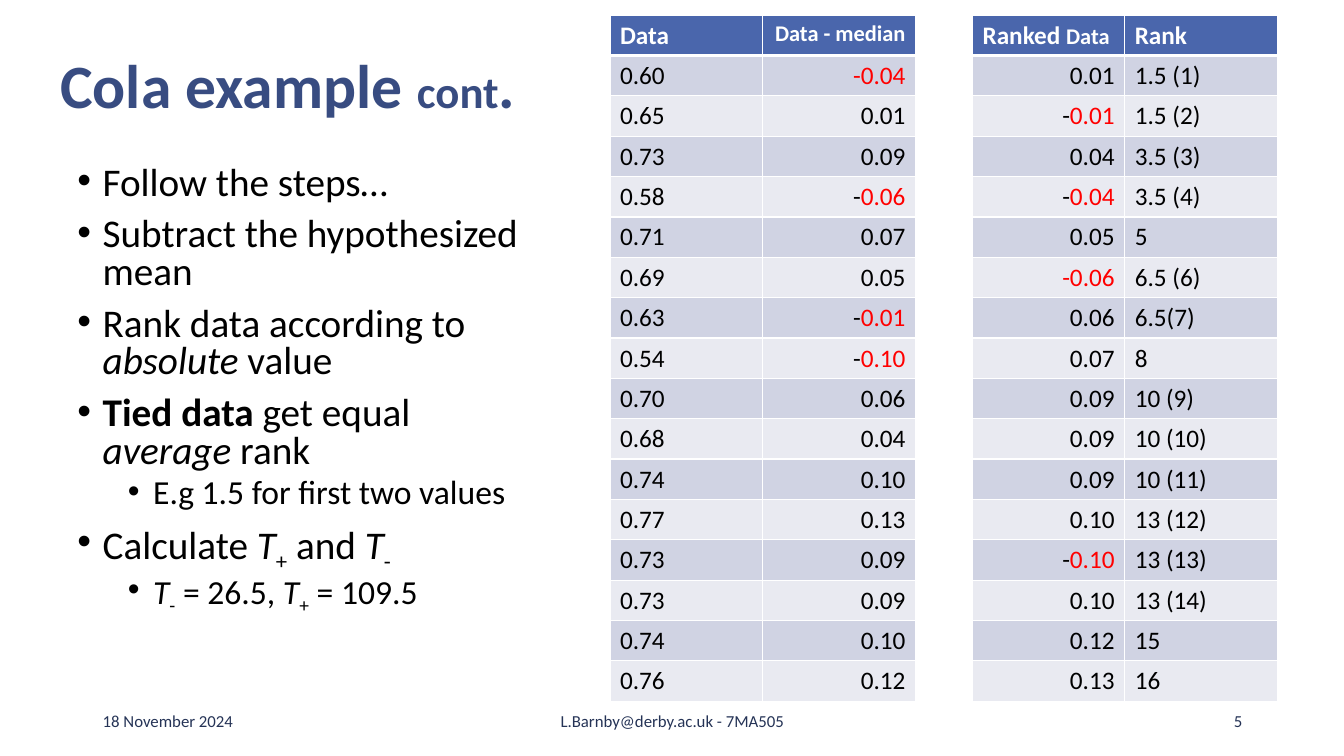
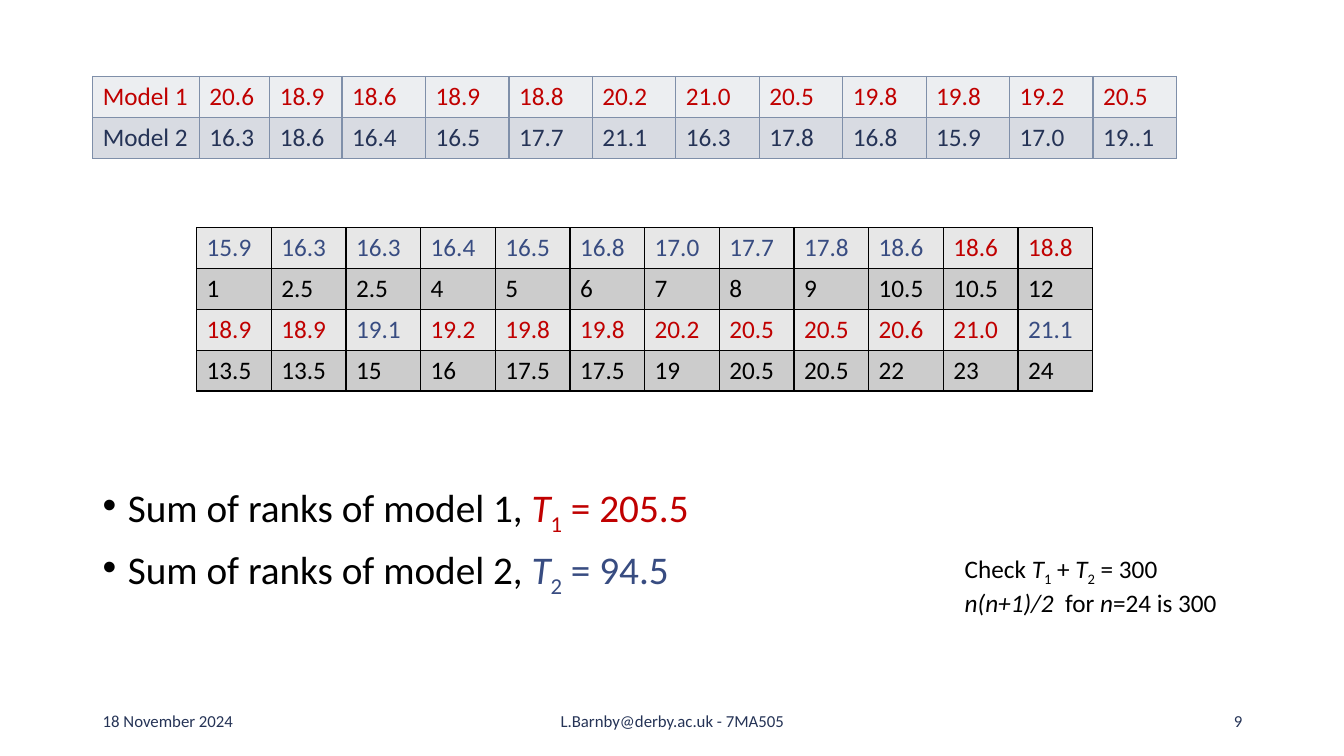
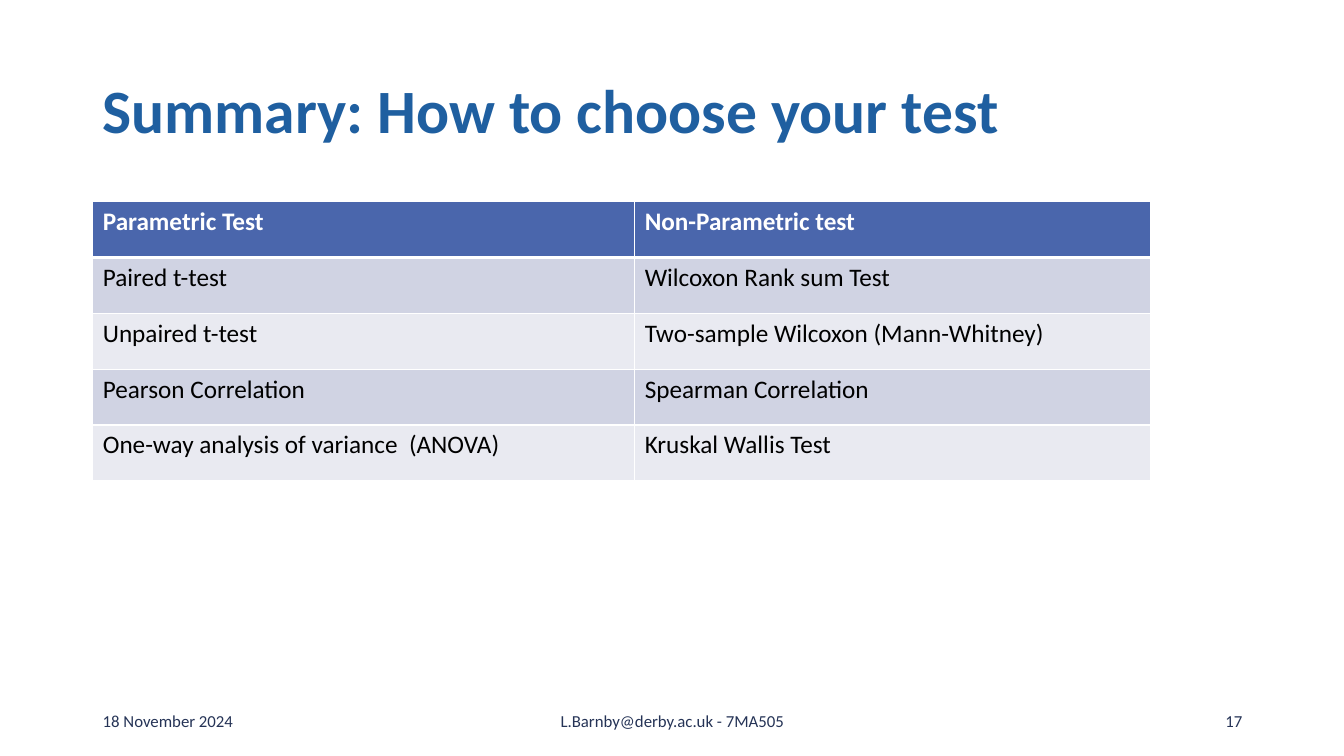
from lxml import etree
from pptx import Presentation
from pptx.dml.color import RGBColor
from pptx.enum.text import MSO_ANCHOR, PP_ALIGN
from pptx.oxml.ns import qn
from pptx.util import Emu, Pt

LEFT, CENTER, RIGHT = PP_ALIGN.LEFT, PP_ALIGN.CENTER, PP_ALIGN.RIGHT
TOP, MIDDLE = MSO_ANCHOR.TOP, MSO_ANCHOR.MIDDLE

# Palette
BLACK, WHITE = "000000", "FFFFFF"
NAVY, BLUE, TITLE_BLUE = "253356", "384C81", "1F5FA0"
RED, DARK_RED = "FF0000", "C00000"
HEADER, BANDS = "4A66AC", ("D0D3E3", "E9EAF1")

# Run styles
BOLD, ITALIC, SUB = {"bold": True}, {"italic": True}, {"sub": True}


def px(n):
    """100 px to the inch."""
    return Emu(round(n * 9144))


def rgb(color):
    return RGBColor.from_string(color)


class Deck:
    font = "Calibri"
    date = "18 November 2024"
    footer = "L.Barnby@derby.ac.uk - 7MA505"

    def __init__(self):
        self.prs = Presentation()
        self.prs.slide_width, self.prs.slide_height = px(1333), px(750)
        self.s = None

    def slide(self, number):
        self.s = self.prs.slides.add_slide(self.prs.slide_layouts[6])
        for x, w, text, align in ((92, 300, self.date, LEFT),
                                  (442, 450, self.footer, CENTER),
                                  (942, 300, str(number), RIGHT)):
            tf = self.box(x, 695, w, 40, MIDDLE)
            self.runs(tf.paragraphs[0], text, 12, NAVY, align)

    def box(self, x, y, w, h, anchor=TOP, wrap=True):
        tf = self.s.shapes.add_textbox(px(x), px(y), px(w), px(h)).text_frame
        tf.word_wrap = wrap
        tf.vertical_anchor = anchor
        return tf

    def runs(self, p, content, size, color, align=LEFT):
        """Fill a paragraph from a string or a list of (text, style) pairs."""
        p.alignment = align
        pairs = [(content, {})] if isinstance(content, str) else content
        for text, style in pairs:
            r = p.add_run()
            r.text = text
            r.font.name = self.font
            r.font.size = Pt(style.get("size", size))
            r.font.bold = style.get("bold", False)
            r.font.italic = style.get("italic", False)
            r.font.color.rgb = rgb(style.get("color", color))
            if style.get("sub"):
                r._r.get_or_add_rPr().set("baseline", "-25000")

    def title(self, x, y, content, color):
        p = self.box(x, y, 1150, 145, MIDDLE).paragraphs[0]
        p.line_spacing = 0.9
        self.runs(p, content, 44, color)

    def bullets(self, x, y, w, h, items, spacing):
        """Items are (level, content) pairs."""
        tf = self.box(x, y, w, h)
        for i, (level, content) in enumerate(items):
            p = tf.add_paragraph() if i else tf.paragraphs[0]
            p.level = level
            p.line_spacing = spacing
            p.space_before = Pt((5 if level else 10) if i else 0)
            pPr = p._p.get_or_add_pPr()
            pPr.set("marL", str(px(25 + 50 * level)))
            pPr.set("indent", str(px(-25)))
            etree.SubElement(pPr, qn("a:buFont"), typeface="Arial")
            etree.SubElement(pPr, qn("a:buChar"), char="•")
            self.runs(p, content, 24 if level else 28, BLACK)

    def note(self, x, y, w, h, lines):
        tf = self.box(x, y, w, h, wrap=False)
        for i, content in enumerate(lines):
            p = tf.add_paragraph() if i else tf.paragraphs[0]
            self.runs(p, content, 18, BLACK)

    def border(self, cell, color, top=1, bottom=1):
        tcPr = cell._tc.get_or_add_tcPr()
        for side, width in (("L", 1), ("R", 1), ("T", top), ("B", bottom)):
            ln = etree.SubElement(tcPr, qn("a:ln" + side), w=str(Pt(width)))
            fill = etree.SubElement(ln, qn("a:solidFill"))
            etree.SubElement(fill, qn("a:srgbClr"), val=color)

    def table(self, x, y, w, h, cols, rows, bands=BANDS, line=WHITE,
              colors=(BLACK,), aligns=None, header=True):
        """cols are relative widths; bands and colors repeat down the rows."""
        frame = self.s.shapes.add_table(len(rows), len(cols),
                                        px(x), px(y), px(w), px(h))
        tbl = frame.table
        tbl.first_row = tbl.horz_banding = False
        for column, weight in zip(tbl.columns, cols):
            column.width = px(w * weight / sum(cols))
        for i, row in enumerate(rows):
            tbl.rows[i].height = px(h / len(rows))
            head = header and i == 0
            n = i - header
            for j, content in enumerate(row):
                cell = tbl.cell(i, j)
                self.border(cell, line, top=3 if header and i == 1 else 1,
                            bottom=3 if head else 1)
                cell.fill.solid()
                cell.fill.fore_color.rgb = rgb(
                    HEADER if head else bands[n % len(bands)])
                if head and isinstance(content, str):
                    content = [(content, BOLD)]
                self.runs(cell.text_frame.paragraphs[0], content, 18,
                          WHITE if head else colors[n % len(colors)],
                          aligns[j] if aligns else LEFT)


def red(text):
    return [(text, {"color": RED})]


def minus(text):
    return [("-", {})] + red(text)


def tint(values, key):
    """Colour each value by its letter: b for model 2, r for model 1."""
    shades = {"b": BLUE, "r": DARK_RED}
    return [[(v, {"color": shades[k]})] for v, k in zip(values.split(), key)]


def symbol(name, index, color=BLACK):
    return [(name, {"italic": True, "color": color}),
            (index, {"sub": True, "color": color})]


def cola_example(d):
    d.slide(5)
    d.title(50, 15, [("Cola example ", BOLD),
                     ("cont", {"bold": True, "size": 32}),
                     (".", BOLD)], BLUE)
    t_plus, t_minus = symbol("T", "+"), symbol("T", "-")
    d.bullets(67, 160, 468, 476, [
        (0, "Follow the steps…"),
        (0, "Subtract the hypothesized mean"),
        (0, [("Rank data according to ", {}), ("absolute", ITALIC),
             (" value", {})]),
        (0, [("Tied data ", BOLD), ("get equal ", {}), ("average", ITALIC),
             (" rank", {})]),
        (1, "E.g 1.5 for first two values"),
        (0, [("Calculate ", {})] + t_plus + [(" and ", {})] + t_minus),
        (1, t_minus + [(" = 26.5, ", {})] + t_plus + [(" = 109.5", {})]),
    ], 0.8)

    # Data and differences
    data = ("0.60 0.65 0.73 0.58 0.71 0.69 0.63 0.54 "
            "0.70 0.68 0.74 0.77 0.73 0.73 0.74 0.76").split()
    diffs = [red("-0.04"), "0.01", "0.09", minus("0.06"), "0.07", "0.05",
             minus("0.01"), minus("0.10"), "0.06", "0.04", "0.10", "0.13",
             "0.09", "0.09", "0.10", "0.12"]
    small = {"bold": True, "size": 16}
    d.table(605, 15, 303, 680, [1, 1],
            [("Data", [("Data - median", small)]), *zip(data, diffs)],
            aligns=(LEFT, RIGHT))

    # Ranked differences
    ranked = ["0.01", minus("0.01"), "0.04", minus("0.04"), "0.05",
              red("-0.06"), "0.06", "0.07", "0.09", "0.09", "0.09", "0.10",
              minus("0.10"), "0.10", "0.12", "0.13"]
    ranks = ["1.5 (1)", "1.5 (2)", "3.5 (3)", "3.5 (4)", "5", "6.5 (6)",
             "6.5(7)", "8", "10 (9)", "10 (10)", "10 (11)", "13 (12)",
             "13 (13)", "13 (14)", "15", "16"]
    d.table(964, 15, 303, 680, [1, 1],
            [([("Ranked ", BOLD), ("Data ", small)], "Rank"),
             *zip(ranked, ranks)],
            aligns=(RIGHT, LEFT))


def rank_sums(d):
    d.slide(9)
    # Measurements of both models
    model_1 = "20.6 18.9 18.6 18.9 18.8 20.2 21.0 20.5 19.8 19.8 19.2 20.5"
    model_2 = "16.3 18.6 16.4 16.5 17.7 21.1 16.3 17.8 16.8 15.9 17.0 19..1"
    d.table(92, 76, 1075, 81, [106, 70, 72] + [83] * 10,
            [["Model 1", *model_1.split()], ["Model 2", *model_2.split()]],
            bands=("ECEEF1", "D8DBE2"), line="7F8FA9",
            colors=(DARK_RED, NAVY), header=False)

    # Pooled values above their ranks
    d.table(195, 226, 889, 162, [1] * 12, [
        tint("15.9 16.3 16.3 16.4 16.5 16.8 17.0 17.7 17.8 18.6 18.6 18.8",
             "bbbbbbbbbbrr"),
        "1 2.5 2.5 4 5 6 7 8 9 10.5 10.5 12".split(),
        tint("18.9 18.9 19.1 19.2 19.8 19.8 20.2 20.5 20.5 20.6 21.0 21.1",
             "rrbrrrrrrrrb"),
        "13.5 13.5 15 16 17.5 17.5 19 20.5 20.5 22 23 24".split(),
    ], bands=("E7E7E7", "CCCCCC"), line=BLACK, header=False)

    # Sums and check
    d.bullets(92, 475, 1150, 217, [
        (0, [(f"Sum of ranks of model {n}, ", {})] + symbol("T", n, color)
            + [(f" = {total}", {"color": color})])
        for n, total, color in (("1", "205.5", DARK_RED), ("2", "94.5", BLUE))
    ], 0.9)
    d.note(947, 544, 274, 71, [
        [("Check ", {})] + symbol("T", "1") + [(" + ", {})]
        + symbol("T", "2") + [(" = 300", {})],
        [("n(n+1)/2  ", ITALIC), ("for ", {}), ("n", ITALIC),
         ("=24 is 300", {})],
    ])


def summary(d):
    d.slide(17)
    d.title(92, 40, [("Summary: How to choose your test", BOLD)], TITLE_BLUE)
    d.table(92, 200, 1049, 277, [538, 512], [
        ("Parametric Test", "Non-Parametric test"),
        ("Paired t-test", "Wilcoxon Rank sum Test"),
        ("Unpaired t-test", "Two-sample Wilcoxon (Mann-Whitney)"),
        ("Pearson Correlation", "Spearman Correlation"),
        ("One-way analysis of variance  (ANOVA)", "Kruskal Wallis Test"),
    ])


def main():
    d = Deck()
    cola_example(d)
    rank_sums(d)
    summary(d)
    d.prs.save("out.pptx")


if __name__ == "__main__":
    main()
